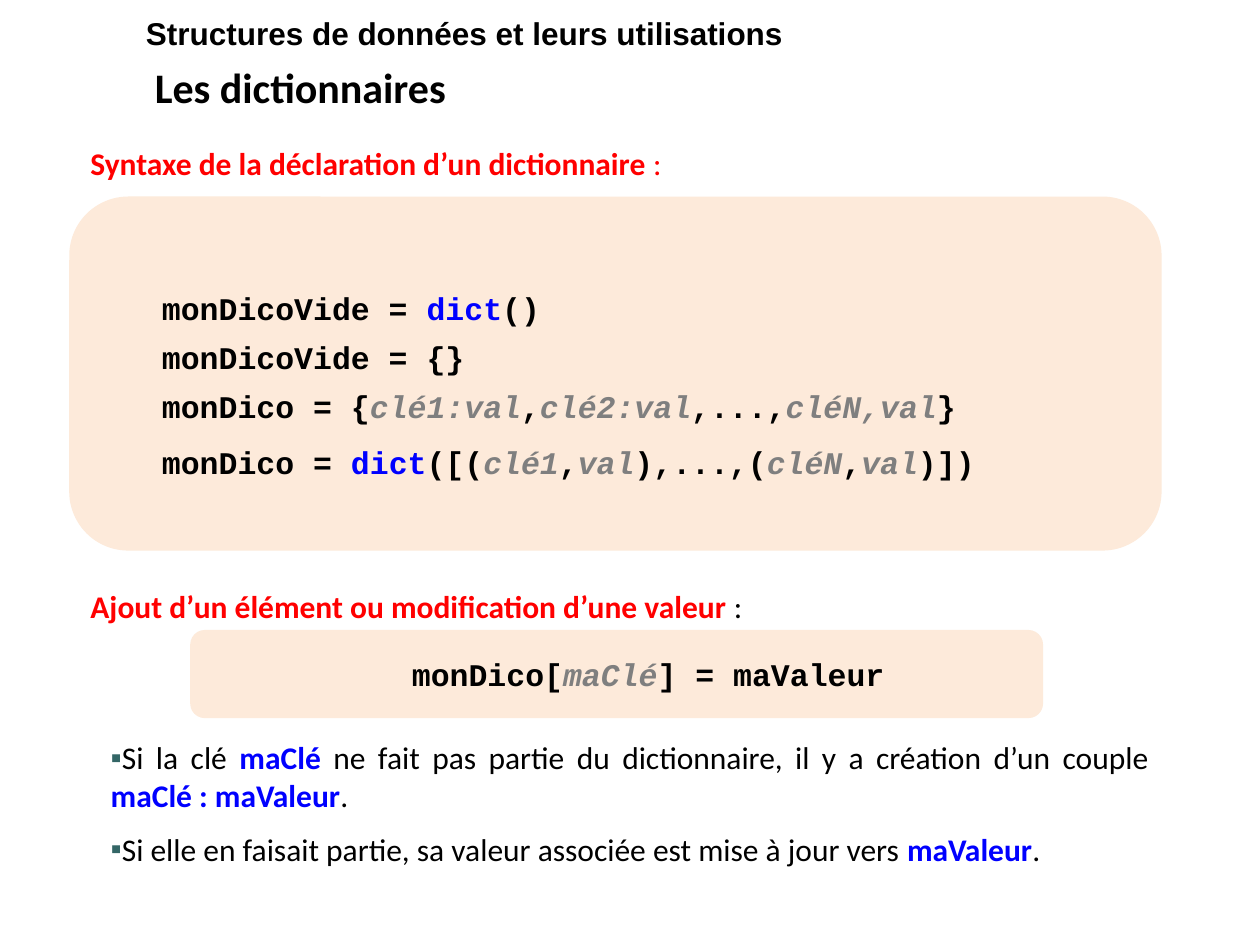
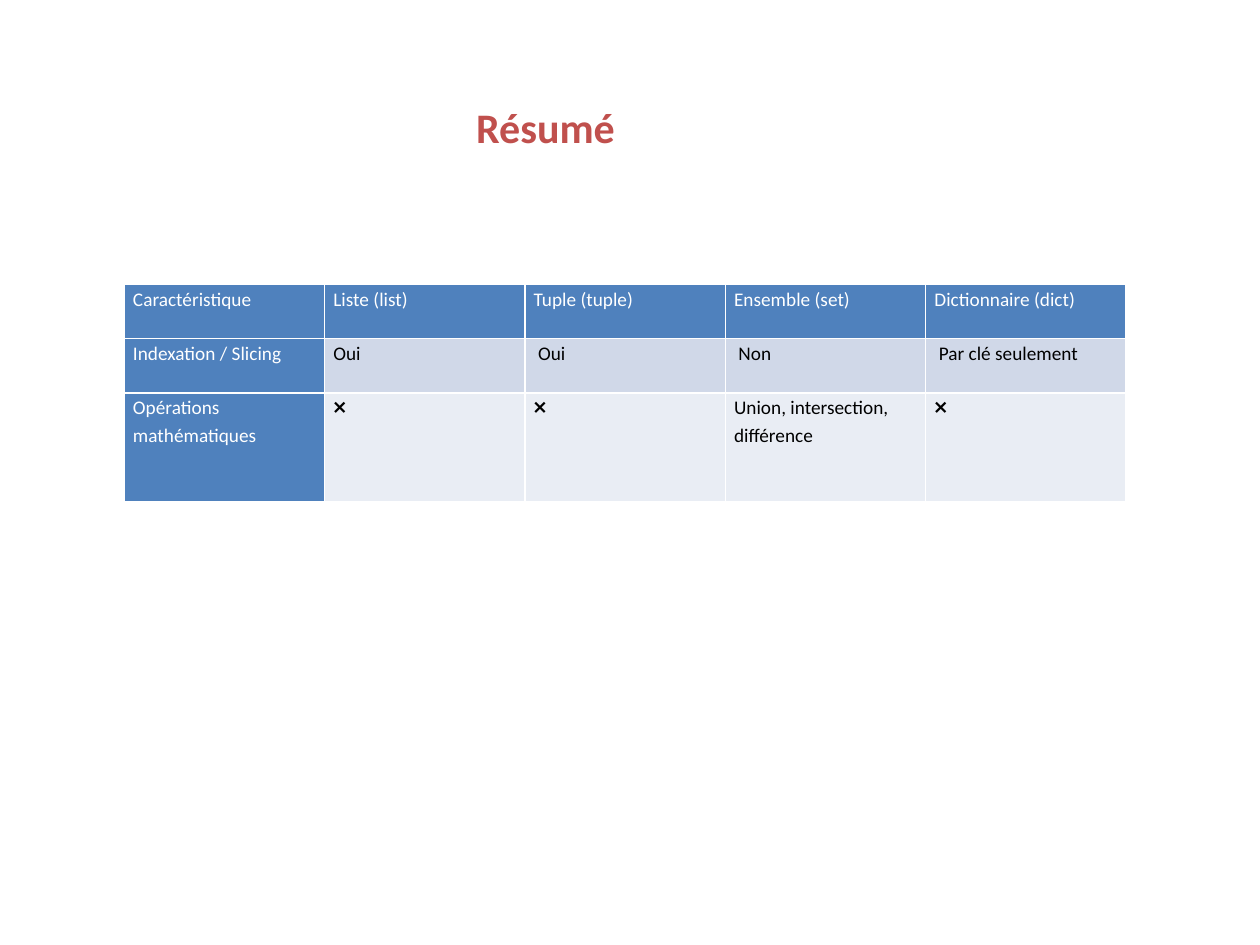
import pptx
import pptx.util
import pptx.dml.color
import pptx.enum.shapes
import pptx.enum.text
import pptx.oxml
import pptx.oxml.ns
import lxml.etree

Pt = pptx.util.Pt
RGB = pptx.dml.color.RGBColor.from_string
ALIGN = pptx.enum.text.PP_ALIGN
ANCHOR = pptx.enum.text.MSO_ANCHOR


class Theme:
    black, white, red, blue, grey = "000000", "FFFFFF", "FF0000", "0000FF", "7F7F7F"
    panel, bullet, summary = "FDEADA", "336666", "C0504D"
    header, row_fills = "4F81BD", ("D0D8E8", "E9EDF4")
    heading_font, body_font, code_font = "Arial", "Calibri", "Courier New"
    title_size, body_size, table_size = 24, 18, 11


# Run styles that differ from the paragraph: colour, bold, italic
STYLES = {
    "keyword": (Theme.blue, True, False),
    "slot": (Theme.grey, True, True),
    "red": (Theme.red, True, False),
    "red_light": (Theme.red, False, False),
}

# Content: a paragraph is a list of strings or (string, style) pairs
COURSE = ["Structures de données et leurs utilisations"]
TOPIC = ["Les dictionnaires"]
SYNTAX_HEADING = [("Syntaxe de la déclaration d’un dictionnaire ", "red"), (":", "red_light")]
UPDATE_HEADING = [("Ajout d’un élément ou modification d’une valeur ", "red"), ":"]
SYNTAX_CODE = [
    ["monDicoVide = ", ("dict", "keyword"), "()"],
    ["monDicoVide = {}"],
    ["monDico = {", ("clé1:val", "slot"), ",", ("clé2:val", "slot"), ",...,",
     ("cléN,val", "slot"), "}"],
    ["monDico = ", ("dict", "keyword"), "([(", ("clé1", "slot"), ",", ("val", "slot"),
     "),...,(", ("cléN", "slot"), ",", ("val", "slot"), ")])"],
]
UPDATE_CODE = [["monDico[", ("maClé", "slot"), "] = maValeur"]]
RULES = [
    ["Si la clé ", ("maClé", "keyword"),
     " ne fait pas partie du dictionnaire, il y a création d’un couple ",
     ("maClé : maValeur", "keyword"), "."],
    ["Si elle en faisait partie, sa valeur associée est mise à jour vers ",
     ("maValeur", "keyword"), "."],
]
SUMMARY_TITLE = ["Résumé"]
SUMMARY = [
    ["Caractéristique", "Liste (list)", "Tuple (tuple)", "Ensemble (set)", "Dictionnaire (dict)"],
    ["Indexation / Slicing", "Oui", "Oui", "Non", "Par clé seulement"],
    ["Opérations mathématiques", "❌", "❌", "Union, intersection, différence", "❌"],
]
INDENTED_CELLS = {(1, 2), (1, 3), (1, 4)}


def add_xml(parent, tag, **attributes):
    return lxml.etree.SubElement(parent, pptx.oxml.ns.qn(tag), **attributes)


def write(para, spans, font=Theme.body_font, size=Theme.body_size, color=Theme.black, bold=False):
    para.font.name, para.font.size, para.font.bold = font, Pt(size), bold
    para.font.color.rgb = RGB(color)
    for part in spans:
        text, style = (part, None) if isinstance(part, str) else part
        span = para.add_run()
        span.text = text
        if style:
            span_color, span.font.bold, span.font.italic = STYLES[style]
            span.font.color.rgb = RGB(span_color)


def add_text(page, place, paras, gap=0, align=ALIGN.LEFT, anchor=ANCHOR.TOP, bullet=None, **font):
    box = page.shapes.add_textbox(*map(Pt, place))
    frame = box.text_frame
    frame.word_wrap, frame.vertical_anchor = True, anchor
    for index, spans in enumerate(paras):
        para = frame.paragraphs[0] if index == 0 else frame.add_paragraph()
        para.alignment = align
        if index:
            para.space_before = Pt(gap)
        if bullet:
            props = para._p.get_or_add_pPr()
            props.set("marL", "0")
            props.set("indent", "0")
            add_xml(add_xml(props, "a:buClr"), "a:srgbClr", val=Theme.bullet)
            add_xml(props, "a:buFont", typeface=Theme.heading_font)
            add_xml(props, "a:buChar", char=bullet)
        write(para, spans, **font)


def add_code_panel(page, place, lines, gaps=(0,), align=ALIGN.LEFT, top_inset=3.6):
    kind = pptx.enum.shapes.MSO_SHAPE.ROUNDED_RECTANGLE
    panel = page.shapes.add_shape(kind, *map(Pt, place))
    panel.shadow.inherit = False
    panel.fill.solid()
    panel.fill.fore_color.rgb = RGB(Theme.panel)
    panel.line.fill.background()
    frame = panel.text_frame
    frame.word_wrap, frame.vertical_anchor = True, ANCHOR.MIDDLE
    frame.margin_top = Pt(top_inset)
    for index, (spans, gap) in enumerate(zip(lines, gaps)):
        para = frame.paragraphs[0] if index == 0 else frame.add_paragraph()
        para.alignment = align
        if gap:
            para.space_before = Pt(gap)
        props = para._p.get_or_add_pPr()
        props.set("marL", str(Pt(36)))
        props.set("indent", "0")
        write(para, spans, font=Theme.code_font, bold=True)


def set_borders(cell, color, width):
    props = cell._tc.get_or_add_tcPr()
    for index, side in enumerate(("a:lnL", "a:lnR", "a:lnT", "a:lnB")):
        line = pptx.oxml.parse_xml(
            f'<{side} {pptx.oxml.ns.nsdecls("a")} w="{Pt(width)}"><a:solidFill>'
            f'<a:srgbClr val="{color}"/></a:solidFill></{side}>')
        props.insert(index, line)


def add_summary_table(page, left, top, column_width, row_height):
    heights = [row_height, row_height, 2 * row_height]
    columns = len(SUMMARY[0])
    table = page.shapes.add_table(len(SUMMARY), columns, Pt(left), Pt(top),
                                  Pt(columns * column_width), Pt(sum(heights))).table
    table.horz_banding = False
    for column in table.columns:
        column.width = Pt(column_width)
    for row, (texts, height) in enumerate(zip(SUMMARY, heights)):
        table.rows[row].height = Pt(height)
        for col, text in enumerate(texts):
            is_header = row == 0 or col == 0
            cell = table.cell(row, col)
            cell.margin_left = Pt(7.5 if (row, col) in INDENTED_CELLS else 5)
            cell.margin_right = Pt(5)
            cell.margin_top = cell.margin_bottom = 0
            cell.fill.solid()
            cell.fill.fore_color.rgb = RGB(Theme.header if is_header else Theme.row_fills[row - 1])
            set_borders(cell, Theme.white, 1)
            para = cell.text_frame.paragraphs[0]
            para.line_spacing = 1.15
            write(para, [text], size=Theme.table_size,
                  color=Theme.white if is_header else Theme.black)


def build_dictionary_page(page):
    # Title lines
    add_text(page, (76.3, 4.3, 643.7, 29), [COURSE], font=Theme.heading_font, bold=True)
    add_text(page, (81.4, 31.7, 638.6, 35.3), [TOPIC], anchor=ANCHOR.MIDDLE,
             size=Theme.title_size, bold=True)
    # Declaration syntax
    add_text(page, (44.6, 78.5, 534, 29), [SYNTAX_HEADING])
    add_code_panel(page, (39.6, 112.3, 624.2, 202.3), SYNTAX_CODE,
                   gaps=(0, 6.5, 6.5, 10), top_inset=16.2)
    # Adding or changing a value
    add_text(page, (44.6, 332, 646.6, 31.7), [UPDATE_HEADING])
    add_code_panel(page, (108.7, 360, 487.4, 50.4), UPDATE_CODE, align=ALIGN.CENTER)
    add_text(page, (56.2, 418.3, 607.7, 116.6), RULES, gap=9, align=ALIGN.JUSTIFY, bullet="▪")


def build_summary_page(page):
    add_summary_table(page, left=71, top=162.3, column_width=114.5, row_height=31.1)
    add_text(page, (212.4, 54.7, 198.7, 36), [SUMMARY_TITLE], align=ALIGN.CENTER,
             size=Theme.title_size, color=Theme.summary, bold=True)


def main():
    deck = pptx.Presentation()
    deck.slide_width, deck.slide_height = Pt(720), Pt(540)
    for build in (build_dictionary_page, build_summary_page):
        build(deck.slides.add_slide(deck.slide_layouts[6]))
    deck.save("out.pptx")


if __name__ == "__main__":
    main()
